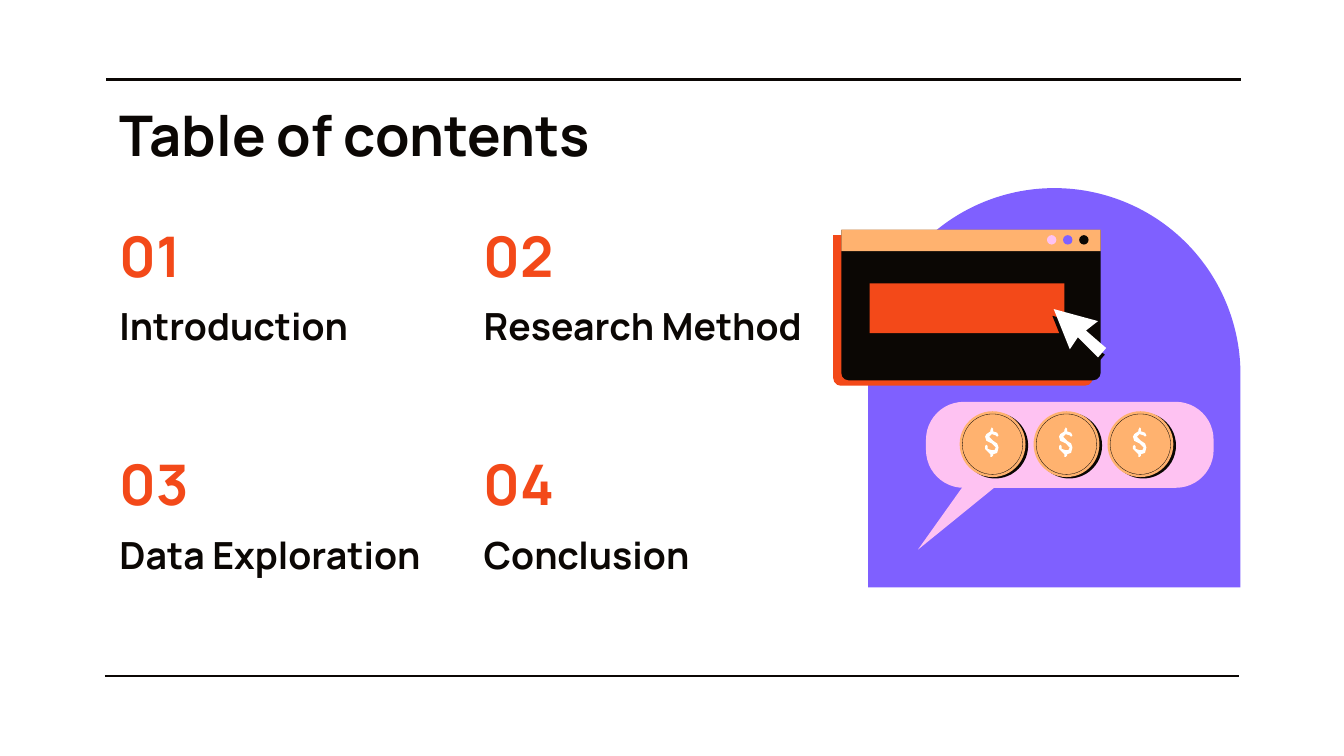
from lxml import etree
from pptx import Presentation
from pptx import util as u
from pptx.dml.color import RGBColor
from pptx.enum import shapes, text
from pptx.oxml import ns

COLORS = {"ink": "0B0704", "red": "F34919", "violet": "7F60FF",
          "peach": "FFB26F", "pink": "FEC2F2", "white": "FFFFFF"}
FONT = "Manrope"
KIND = shapes.MSO_SHAPE
ITEMS = ["Introduction", "Research Method", "Data Exploration", "Conclusion"]

# Outlines in inches, relative to the top left of their part
ARROW = [(0, 0), (0.12, 0.3), (0.18, 0.21), (0.33, 0.36),
         (0.39, 0.29), (0.24, 0.16), (0.33, 0.09)]
TAIL = [(0.37, 0), (0, 0.52), (0.64, 0)]
DOLLAR = [(0.05, 0), (0.04, 0.02), (0.04, 0.03), (0.01, 0.05), (0, 0.07),
          (0.01, 0.1), (0.05, 0.12), (0.08, 0.15), (0.07, 0.17), (0.05, 0.17),
          (0.02, 0.16), (0.02, 0.14), (0.01, 0.13), (0, 0.14), (0, 0.16),
          (0.04, 0.2), (0.04, 0.22), (0.05, 0.22), (0.06, 0.21), (0.06, 0.2),
          (0.09, 0.19), (0.1, 0.15), (0.09, 0.12), (0.06, 0.1), (0.03, 0.07),
          (0.05, 0.05), (0.08, 0.06), (0.09, 0.07), (0.1, 0.06), (0.09, 0.04),
          (0.06, 0.03), (0.06, 0.01)]


def rgb(name):
    return RGBColor.from_string(COLORS[name])


def place(sp, x, y, w, h):
    for name, value in dict(left=x, top=y, width=w, height=h).items():
        setattr(sp, name, u.Inches(value))


def paint(sp, color):
    sp.shadow.inherit = False
    sp.fill.solid()
    sp.fill.fore_color.rgb = rgb(color)
    sp.line.fill.background()


def add_shape(s, kind, x, y, w, h, color, adjust=()):
    sp = s.shapes.add_shape(kind, *map(u.Inches, (x, y, w, h)))
    for i, value in enumerate(adjust):
        sp.adjustments[i] = value
    paint(sp, color)
    return sp


def add_outline(s, points, x, y, color):
    pts = [(u.Inches(x + px), u.Inches(y + py)) for px, py in points]
    builder = s.shapes.build_freeform(*pts[0], scale=1.0)
    builder.add_line_segments(pts[1:], close=True)
    paint(builder.convert_to_shape(), color)


def write(sp, words, size, color, anchor):
    tf = sp.text_frame
    frame = dict(word_wrap=True, auto_size=text.MSO_AUTO_SIZE.NONE, vertical_anchor=anchor)
    margins = ("margin_left", "margin_top", "margin_right", "margin_bottom")
    frame.update(dict.fromkeys(margins, u.Inches(0.1)))
    for name, value in frame.items():
        setattr(tf, name, value)
    p = tf.paragraphs[0]
    p.alignment = text.PP_ALIGN.LEFT
    r = p.add_run()
    r.text = words
    for name, value in dict(name=FONT, size=u.Pt(size), bold=True).items():
        setattr(r.font, name, value)
    r.font.color.rgb = rgb(color)


def add_rule(s, x, y, w):
    line = s.shapes.add_connector(shapes.MSO_CONNECTOR.STRAIGHT,
                                  *map(u.Inches, (x, y, x + w, y)))
    line.line.color.rgb = rgb("ink")
    line.line.width = u.Pt(1.5)
    etree.SubElement(line._element.spPr, ns.qn("a:effectLst"))


def add_title(s, x, y, w, h):
    place(s.shapes.title, x, y, w, h)
    write(s.shapes.title, "Table of contents", 30, "ink", text.MSO_ANCHOR.TOP)


def add_entry(s, number, label, x, y, w):
    num = s.shapes.add_textbox(*map(u.Inches, (x, y, 0.9, 0.49)))
    write(num, f"{number:02}", 30, "red", text.MSO_ANCHOR.MIDDLE)
    name = s.shapes.add_textbox(*map(u.Inches, (x, y + 0.51, w, 0.53)))
    write(name, label, 20, "ink", text.MSO_ANCHOR.BOTTOM)


def add_contents(s, x, y, col_step, row_step):
    for i, label in enumerate(ITEMS):
        row, col = divmod(i, 2)
        add_entry(s, i + 1, label, x + col * col_step, y + row * row_step, 2.82)


def add_window(s, x, y, w, h):
    # Panel over its offset backing
    for dx, dy, color in ((-0.06, 0.04, "red"), (0, 0, "ink")):
        add_shape(s, KIND.ROUND_2_SAME_RECTANGLE, x + dx, y + dy, w, h, color, (0, 0.05))
    # Title bar with three buttons
    add_shape(s, KIND.RECTANGLE, x, y, w, 0.16, "peach")
    for i, color in enumerate(("pink", "violet", "ink")):
        add_shape(s, KIND.OVAL, x + 1.53 + i * 0.12, y + 0.04, 0.07, 0.07, color)
    # Field and pointer
    add_shape(s, KIND.RECTANGLE, x + 0.21, y + 0.4, 1.45, 0.37, "red")
    add_outline(s, ARROW, x + 1.57, y + 0.64, "ink")
    add_outline(s, ARROW, x + 1.58, y + 0.59, "white")


def add_coin(s, x, y, d):
    add_shape(s, KIND.OVAL, x + 0.02, y + 0.01, d, d, "ink")
    add_shape(s, KIND.OVAL, x, y, d, d, "peach")
    ring = add_shape(s, KIND.OVAL, x + 0.02, y + 0.02, d - 0.04, d - 0.04, "peach")
    ring.fill.background()
    ring.line.color.rgb = rgb("ink")
    ring.line.width = u.Pt(0.17)
    add_outline(s, DOLLAR, x + 0.19, y + 0.12, "white")


def add_bubble(s, x, y, w, h):
    add_shape(s, KIND.ROUNDED_RECTANGLE, x, y, w, h, "pink", (0.44,))
    add_outline(s, TAIL, x - 0.06, y + 0.58, "pink")
    for i in range(3):
        add_coin(s, x + 0.25 + i * 0.55, y + 0.07, 0.49)


def add_illustration(s, x, y, w, h):
    add_shape(s, KIND.ROUND_2_SAME_RECTANGLE, x, y, w, h, "violet", (0.5, 0))
    add_window(s, x - 0.2, y + 0.31, 1.93, 1.12)
    add_bubble(s, x + 0.43, y + 1.59, 2.14, 0.64)


def main():
    prs = Presentation()
    # Widescreen, 16:9
    prs.slide_width, prs.slide_height = u.Inches(10), u.Inches(10 * 9 / 16)
    s = prs.slides.add_slide(prs.slide_layouts[5])
    add_rule(s, 0.79, 0.59, 8.44)
    add_rule(s, 0.78, 5.03, 8.44)
    add_title(s, 0.79, 0.65, 8.43, 0.63)
    add_contents(s, 0.79, 1.65, 2.71, 1.7)
    add_illustration(s, 6.46, 1.4, 2.77, 2.97)
    prs.save("out.pptx")


if __name__ == "__main__":
    main()
